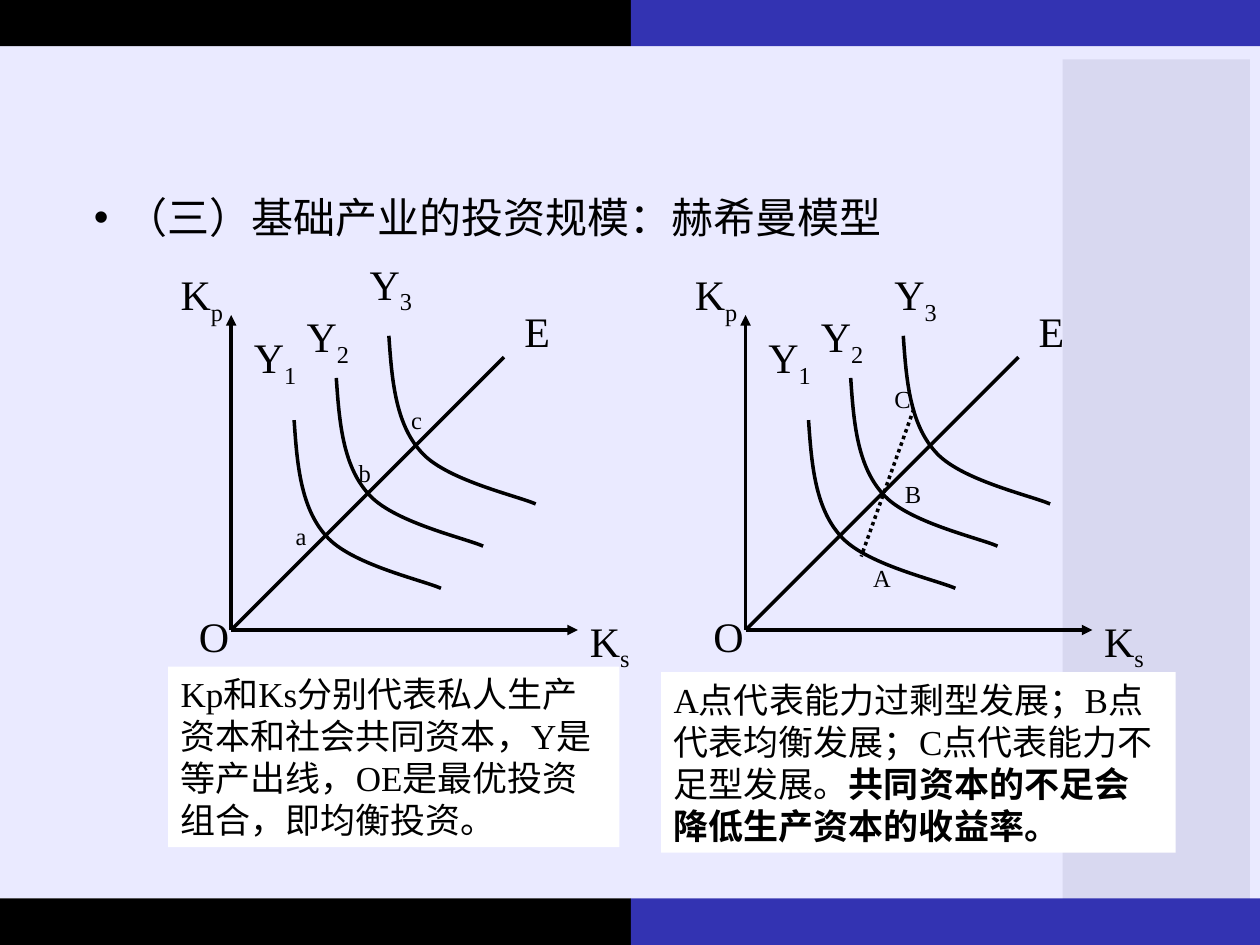
from lxml.etree import SubElement
from pptx import Presentation
from pptx.dml.color import RGBColor
from pptx.enum.dml import MSO_LINE
from pptx.enum.shapes import MSO_CONNECTOR, MSO_SHAPE
from pptx.enum.text import MSO_ANCHOR, MSO_AUTO_SIZE, PP_ALIGN
from pptx.oxml.ns import qn
from pptx.util import Cm, Pt

LATIN, CHINESE = "Times New Roman", "Noto Sans CJK SC"
BLACK, WHITE = "000000", "FFFFFF"

# All positions and sizes are in centimetres.
BANDS = [  # left, top, width, height, colour
    (0, 0.93, 25.4, 17.18, "EAEAFF"),
    (0, 0, 12.72, 0.93, BLACK),
    (12.72, 0, 12.68, 0.93, "3333B2"),
    (21.42, 1.2, 3.78, 17.12, "D8D8F0"),
    (0, 18.11, 12.72, 0.94, BLACK),
    (12.72, 18.11, 12.68, 0.94, "3333B2"),
]
HEADING = "（三）基础产业的投资规模：赫希曼模型"
LEFT_CAPTION = {
    "box": (3.39, 13.44, 9.1, 3.64),
    "runs": [("Kp和Ks分别代表私人生产资本和社会共同资本，Y是等产出线，OE是最优投资组合，即均衡投资。", False)],
}
RIGHT_CAPTION = {
    "box": (13.33, 13.55, 10.37, 3.64),
    "runs": [("A点代表能力过剩型发展；B点代表均衡发展；C点代表能力不足型发展。", False),
             ("共同资本的不足会降低生产资本的收益率。", True)],
}

# Diagram parts are measured from the origin O of each diagram.
AXIS_ENDS = [(0, -6.35), (6.99, 0)]
BALANCE_END = (5.5, -5.5)
CURVE_STARTS = [(1.27, -4.23), (2.12, -5.08), (3.18, -5.93)]
CURVE = [  # two control points and an end point for each of two Bézier segments
    (0.06, 0.88), (0.13, 1.76), (0.64, 2.33),
    (1.12, 2.9), (2.57, 3.22), (2.96, 3.39),
]
LABELS = [  # letter, subscript, left, top, width
    ("Y", "1", 0.21, -6.14, 1.4),
    ("Y", "2", 1.27, -6.56, 1.4),
    ("O", "", -0.9, -0.51, 1.12),
    ("E", "", 5.66, -6.67, 1.02),
    ("K", "p", -1.27, -7.41, 1.4),
    ("K", "s", 6.98, -0.42, 1.35),
]
LEFT_DIAGRAM = {
    "origin": (4.66, 12.7), "top label": (2.54, -7.62), "path": None,
    "points": [("a", 1.05, -2.33, 0.74), ("b", 2.32, -3.6, 0.76), ("c", 3.38, -4.66, 0.74)],
}
RIGHT_DIAGRAM = {
    "origin": (15.03, 12.7), "top label": (2.75, -7.41),
    "path": [(3.39, -4.45), (2.33, -1.48)],
    "points": [("A", 2.32, -1.48, 0.86), ("C", 2.75, -5.08, 0.84), ("B", 2.96, -3.17, 0.84)],
}


def colour(value):
    return RGBColor.from_string(value)


def add_run(paragraph, text, size, bold=False, latin=LATIN, subscript=False):
    run = paragraph.add_run()
    run.text = text
    run.font.size = Pt(size)
    run.font.color.rgb = colour(BLACK)
    run.font.name = latin
    if bold:
        run.font.bold = True
    properties = run.font._element
    SubElement(properties, qn("a:ea"), typeface=CHINESE)
    if subscript:
        properties.set("baseline", "-25000")


def add_box(shapes, box, fill):
    shape = shapes.add_shape(MSO_SHAPE.RECTANGLE, *map(Cm, box))
    shape.shadow.inherit = False
    shape.fill.solid()
    shape.fill.fore_color.rgb = colour(fill)
    shape.line.fill.background()
    return shape


def add_heading(slide):
    body = slide.placeholders[1]
    body.left, body.top, body.width, body.height = map(Cm, (1.64, 3.84, 22.1, 14.83))
    body.element.getparent().append(body.element)  # in front of the bands
    paragraph = body.text_frame.paragraphs[0]
    paragraph.line_spacing = 0.9
    paragraph.space_before = Pt(10)
    properties = paragraph._p.get_or_add_pPr()
    properties.set("marL", str(Cm(0.63)))
    properties.set("indent", str(Cm(-0.63)))
    SubElement(properties, qn("a:buFont"), typeface="Arial")
    SubElement(properties, qn("a:buChar"), char="•")
    add_run(paragraph, HEADING, 24, latin=CHINESE)


def add_caption(shapes, caption):
    frame = add_box(shapes, caption["box"], WHITE).text_frame
    frame.word_wrap = True
    frame.auto_size = MSO_AUTO_SIZE.SHAPE_TO_FIT_TEXT
    frame.vertical_anchor = MSO_ANCHOR.TOP
    paragraph = frame.paragraphs[0]
    paragraph.alignment = PP_ALIGN.LEFT
    for text, bold in caption["runs"]:
        add_run(paragraph, text, 20, bold)


def shift(origin, point):
    return origin[0] + point[0], origin[1] + point[1]


def add_label(shapes, position, width, letter, subscript="", size=24):
    height = 1.27 if size == 24 else 0.84
    text_box = shapes.add_textbox(*map(Cm, (*position, width, height)))
    frame = text_box.text_frame
    frame.word_wrap = letter == "K"
    frame.auto_size = MSO_AUTO_SIZE.SHAPE_TO_FIT_TEXT
    add_run(frame.paragraphs[0], letter, size)
    if subscript:
        add_run(frame.paragraphs[0], subscript, size, subscript=True)


def style_line(line):
    line.color.rgb = colour(BLACK)
    line.width = Pt(2)


def add_line(shapes, start, end, arrow=False, dash=None):
    connector = shapes.add_connector(MSO_CONNECTOR.STRAIGHT, *map(Cm, (*start, *end)))
    style_line(connector.line)
    if dash:
        connector.line.dash_style = dash
    if arrow:
        SubElement(connector.line._get_or_add_ln(), qn("a:tailEnd"), type="triangle")
    SubElement(connector.element.spPr, qn("a:effectLst"))


def add_curve(shapes, start):
    """Draw the points of CURVE as Bézier segments, three points to each."""
    builder = shapes.build_freeform(*map(Cm, start), scale=1.0)
    points = [shift(start, point) for point in CURVE]
    builder.add_line_segments([(Cm(x), Cm(y)) for x, y in points], close=False)
    curve = builder.convert_to_shape()
    outline = next(curve.element.iter(qn("a:path")))
    for index, line_to in enumerate(outline.findall(qn("a:lnTo"))):
        if index % 3 == 0:
            segment = SubElement(outline, qn("a:cubicBezTo"))
        segment.append(line_to[0])
        outline.remove(line_to)
    curve.shadow.inherit = False
    curve.fill.background()
    style_line(curve.line)


def add_diagram(slide, diagram):
    shapes = slide.shapes.add_group_shape().shapes
    origin = diagram["origin"]
    for end in AXIS_ENDS:
        add_line(shapes, origin, shift(origin, end), arrow=True)
    for start in CURVE_STARTS:
        add_curve(shapes, shift(origin, start))
    add_line(shapes, origin, shift(origin, BALANCE_END))
    for letter, subscript, left, top, width in LABELS + [("Y", "3", *diagram["top label"], 1.4)]:
        add_label(shapes, shift(origin, (left, top)), width, letter, subscript)
    for letter, left, top, width in diagram["points"]:
        add_label(shapes, shift(origin, (left, top)), width, letter, size=14)
    if diagram["path"]:
        start, end = diagram["path"]
        add_line(shapes, shift(origin, start), shift(origin, end), dash=MSO_LINE.ROUND_DOT)


def main():
    presentation = Presentation()
    presentation.slide_width, presentation.slide_height = Cm(25.4), Cm(19.05)
    slide = presentation.slides.add_slide(presentation.slide_layouts[1])
    title = slide.shapes.title.element
    title.getparent().remove(title)
    background = slide.shapes.add_group_shape().shapes
    for *box, fill in BANDS:
        add_box(background, box, fill)
    add_heading(slide)
    add_caption(slide.shapes, LEFT_CAPTION)
    add_diagram(slide, RIGHT_DIAGRAM)
    add_caption(slide.shapes, RIGHT_CAPTION)
    add_diagram(slide, LEFT_DIAGRAM)
    presentation.save("out.pptx")


if __name__ == "__main__":
    main()
